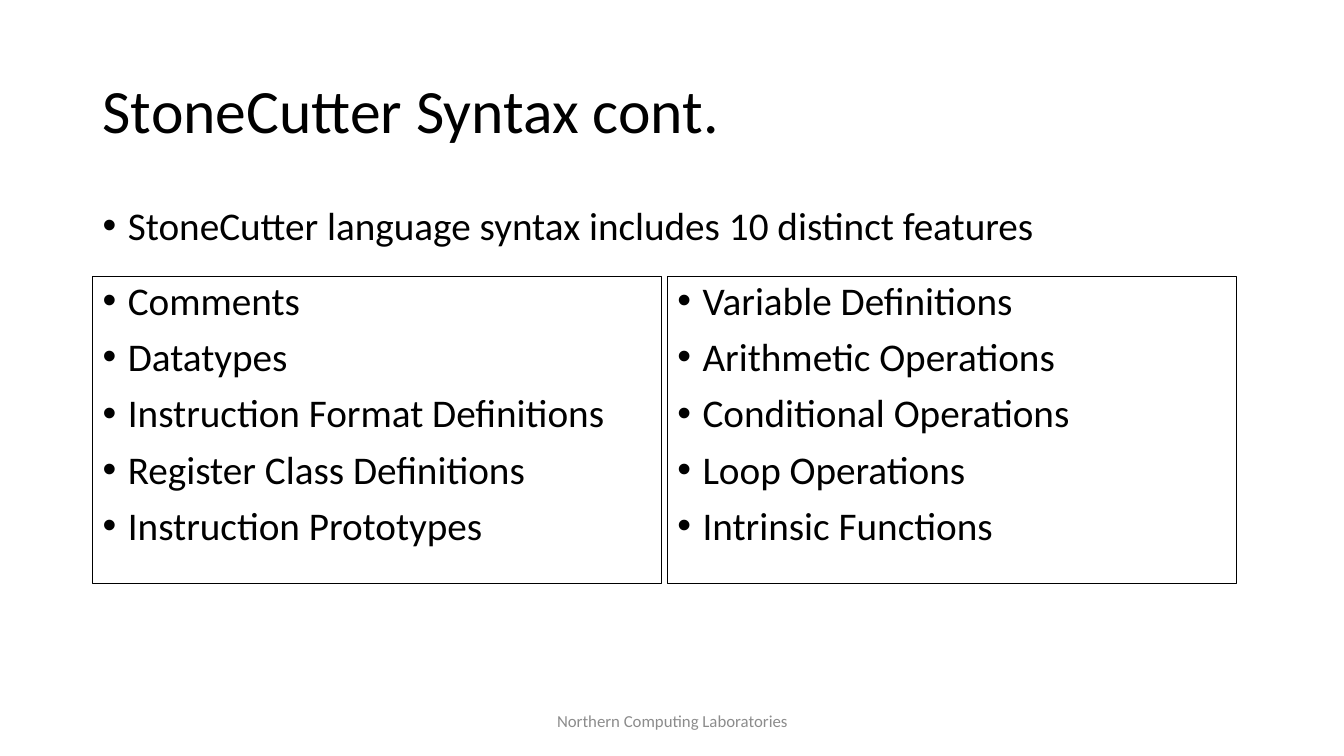
from lxml.etree import SubElement
from pptx import Presentation
from pptx.dml.color import RGBColor
from pptx.enum.shapes import MSO_SHAPE
from pptx.enum.text import MSO_ANCHOR, PP_ALIGN
from pptx.oxml.ns import qn
from pptx.util import Inches, Pt

COLORS = {"ink": "000000", "foot": "8C8C8C"}
LEFT = 0.92
WIDTH = 11.5
BOX_WIDTH = 5.64
BOX_STEP = 5.7
LISTS = [
    ["Comments", "Datatypes", "Instruction Format Definitions",
     "Register Class Definitions", "Instruction Prototypes"],
    ["Variable Definitions", "Arithmetic Operations", "Conditional Operations",
     "Loop Operations", "Intrinsic Functions"],
]


def color(name):
    return RGBColor.from_string(COLORS[name])


def add_run(para, text, size, ink="ink"):
    run = para.add_run()
    run.text = text
    run.font.name = "Calibri"
    run.font.size = Pt(size)
    run.font.color.rgb = color(ink)


def add_line(slide, area, text, size, ink="ink", align=PP_ALIGN.LEFT, space=1.0):
    frame = slide.shapes.add_textbox(*map(Inches, area)).text_frame
    frame.word_wrap = True
    frame.vertical_anchor = MSO_ANCHOR.MIDDLE
    para = frame.paragraphs[0]
    para.alignment = align
    para.line_spacing = space
    add_run(para, text, size, ink)


def add_bullet(para):
    props = para._p.get_or_add_pPr()
    props.set("marL", str(Inches(0.25)))
    props.set("indent", str(Inches(-0.25)))
    SubElement(props, qn("a:buFont")).set("typeface", "Arial")
    SubElement(props, qn("a:buChar")).set("char", "•")


def fill_list(frame, items):
    frame.word_wrap = True
    frame.vertical_anchor = MSO_ANCHOR.TOP
    for index, item in enumerate(items):
        para = frame.add_paragraph() if index else frame.paragraphs[0]
        add_bullet(para)
        para.alignment = PP_ALIGN.LEFT
        para.line_spacing = 0.9
        if index:
            para.space_before = Pt(10)
        add_run(para, item, 28)


def add_box(slide, area, items):
    box = slide.shapes.add_shape(MSO_SHAPE.RECTANGLE, *map(Inches, area))
    box.shadow.inherit = False
    box.fill.background()
    box.line.color.rgb = color("ink")
    box.line.width = Pt(0.75)
    fill_list(box.text_frame, items)


def main():
    deck = Presentation()
    deck.slide_width = Inches(13.33)
    deck.slide_height = Inches(7.5)
    slide = deck.slides.add_slide(deck.slide_layouts[6])

    add_line(slide, (LEFT, 0.4, WIDTH, 1.45), "StoneCutter Syntax cont.", 44, space=0.9)
    intro = slide.shapes.add_textbox(*map(Inches, (LEFT, 2, WIDTH, 4.76)))
    fill_list(intro.text_frame, ["StoneCutter language syntax includes 10 distinct features"])
    add_line(slide, (4.42, 6.95, 4.5, 0.4), "Northern Computing Laboratories", 12,
             "foot", PP_ALIGN.CENTER)
    for index, items in enumerate(LISTS):
        add_box(slide, (LEFT + index * BOX_STEP, 2.74, BOX_WIDTH, 3.05), items)

    deck.save("out.pptx")


if __name__ == "__main__":
    main()
